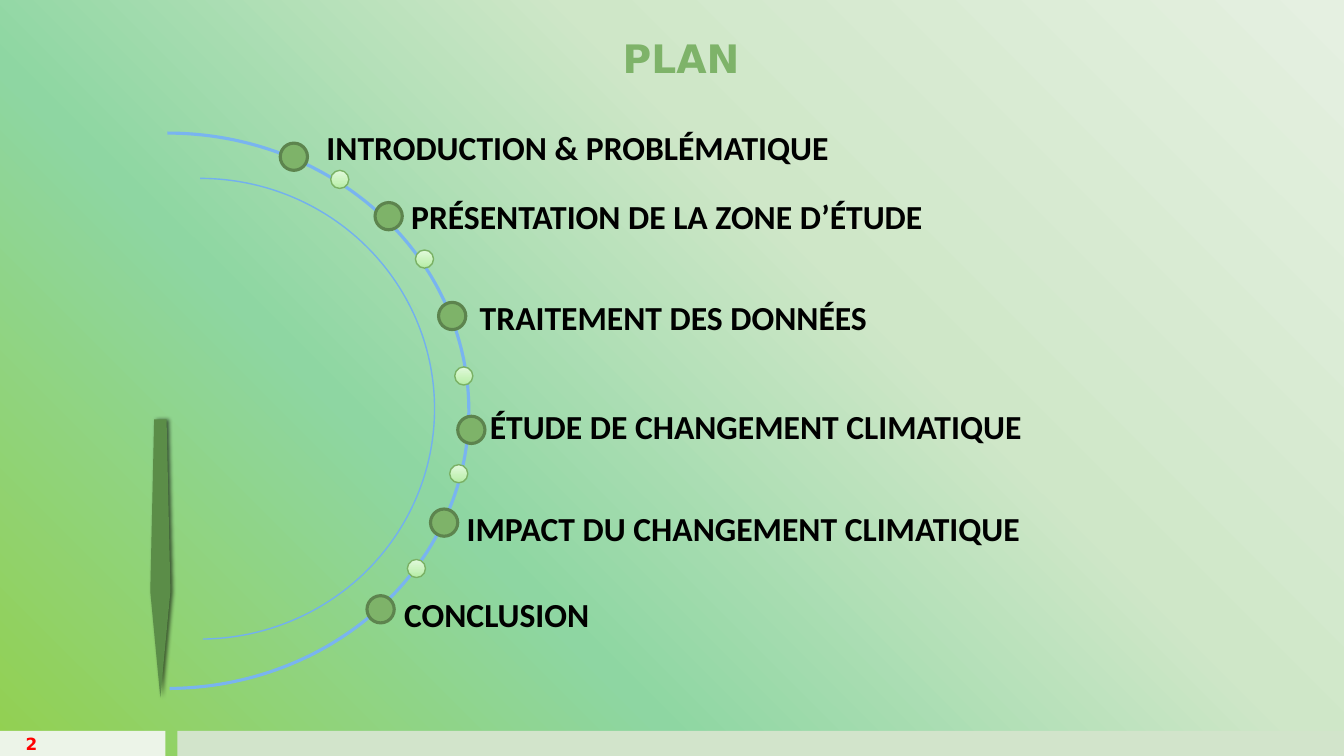
from lxml import etree
from pptx import Presentation
from pptx.dml.color import RGBColor
from pptx.enum.shapes import MSO_SHAPE
from pptx.enum.text import MSO_ANCHOR, PP_ALIGN
from pptx.oxml.ns import qn
from pptx.util import Inches, Pt

RECT, OVAL, ARC = MSO_SHAPE.RECTANGLE, MSO_SHAPE.OVAL, MSO_SHAPE.ARC
PENTAGON = MSO_SHAPE.REGULAR_PENTAGON
LEFT, CENTER, RIGHT = PP_ALIGN.LEFT, PP_ALIGN.CENTER, PP_ALIGN.RIGHT
TOP, MIDDLE, BOTTOM = MSO_ANCHOR.TOP, MSO_ANCHOR.MIDDLE, MSO_ANCHOR.BOTTOM

GREEN = RGBColor(0x7E, 0xB3, 0x69)
DARK_GREEN = RGBColor(0x5D, 0x84, 0x4E)
NEEDLE_GREEN = RGBColor(0x5B, 0x8D, 0x48)
SMALL_DOT_LINE = RGBColor(0x7A, 0xB1, 0x65)
INNER_BLUE = RGBColor(0x73, 0xB0, 0xEE)
OUTER_BLUE = RGBColor(0x79, 0xB4, 0xF0)
FOOTER_LEFT = RGBColor(0xEC, 0xF4, 0xE8)
FOOTER_RIGHT = RGBColor(0xD2, 0xE4, 0xCB)
BLACK = RGBColor(0, 0, 0)
RED = RGBColor(0xFF, 0, 0)
BACKGROUND = [(0, RGBColor(0xE5, 0xF0, 0xE1)), (37, RGBColor(0xCF, 0xE7, 0xC8)),
              (67, RGBColor(0x8E, 0xD6, 0xA2)), (100, RGBColor(0x92, 0xD0, 0x50))]
SMALL_DOT_FILL = [(0, RGBColor(0xB4, 0xEB, 0xA3)), (35, RGBColor(0xC6, 0xF2, 0xB9)),
                  (100, RGBColor(0xE2, 0xF9, 0xDC))]

# Content: text, its left and top, then left and top of its dot
TITLE = "PLAN"
PAGE = "2"
TOPICS = [
    ("INTRODUCTION & PROBLÉMATIQUE", 3.14, 1.21, 2.78, 1.42),
    ("PRÉSENTATION DE LA ZONE D’ÉTUDE", 3.98, 1.89, 3.72, 2.01),
    ("TRAITEMENT DES DONNÉES", 4.66, 2.9, 4.35, 3.0),
    ("ÉTUDE DE CHANGEMENT CLIMATIQUE", 4.76, 3.98, 4.54, 4.13),
    ("IMPACT DU CHANGEMENT CLIMATIQUE", 4.53, 4.99, 4.27, 5.05),
    ("CONCLUSION", 3.91, 5.84, 3.64, 5.91),
]
SMALL_DOTS = [(3.28, 1.69), (4.12, 2.48), (4.51, 3.64), (4.46, 4.61), (4.04, 5.55)]
# Box, end angle (in 1/100 of the 60000ths), colour, line width
ARCS = [((-0.34, 1.77, 4.65, 4.57), 53.6, INNER_BLUE, 1),
        ((-1.33, 1.32, 5.98, 5.51), 53.71, OUTER_BLUE, 2.25)]
FOOTER = [((0, 7.25, 1.64, 0.25), FOOTER_LEFT), ((1.76, 7.25, 11.57, 0.25), FOOTER_RIGHT)]
DOT, SMALL_DOT = 0.27, 0.18
LABEL_W, LABEL_H = 6.5, 0.5

prs = Presentation()
prs.slide_width, prs.slide_height = Inches(13.33), Inches(7.5)
s = prs.slides.add_slide(prs.slide_layouts[5])


def set_gradient(fill, element, stops, angle):
    """Angle is counter-clockwise, in degrees."""
    fill.gradient()
    fill.gradient_angle = angle
    gs_list = element.find(".//" + qn("a:gsLst"))
    for gs in list(gs_list):
        gs_list.remove(gs)
    for pos, color in stops:
        gs = etree.SubElement(gs_list, qn("a:gs"), pos=str(pos * 1000))
        etree.SubElement(gs, qn("a:srgbClr"), val=str(color))


def add_shape(kind, box, fill=None, line=None, width=1):
    sp = s.shapes.add_shape(kind, *map(Inches, box))
    sp.shadow.inherit = False
    if fill is None:
        sp.fill.background()
    else:
        sp.fill.solid()
        sp.fill.fore_color.rgb = fill
    if line is None:
        sp.line.fill.background()
    else:
        sp.line.color.rgb = line
        sp.line.width = Pt(width)
    return sp


def set_text(sp, text, size, font, color, align=LEFT, anchor=TOP):
    tf = sp.text_frame
    tf.word_wrap = True
    tf.vertical_anchor = anchor
    tf.text = text
    p = tf.paragraphs[0]
    p.alignment = align
    p.font.size, p.font.name, p.font.bold = Pt(size), font, True
    p.font.color.rgb = color


def add_text(box, *args):
    sp = s.shapes.add_textbox(*map(Inches, box))
    set_text(sp, *args)
    return sp


# Background and footer band
set_gradient(s.background.fill, s.element, BACKGROUND, 225)
for box, color in FOOTER:
    add_shape(RECT, box, color)

# Title
title = s.shapes.title
title.left, title.top, title.width, title.height = map(Inches, (2.35, 0.4, 8.81, 0.46))
set_text(title, TITLE, 28, "DejaVu Sans", GREEN, CENTER, BOTTOM)

# Arcs
for box, end, color, width in ARCS:
    arc = add_shape(ARC, box, None, color, width)
    arc.adjustments[0] = 162
    arc.adjustments[1] = end

# Needle with a soft shadow
needle = add_shape(PENTAGON, (1.49, 4.16, 0.2, 2.76), NEEDLE_GREEN)
needle.rotation = 180
effects = needle.element.spPr.find(qn("a:effectLst"))
shadow = etree.SubElement(effects, qn("a:outerShdw"), blurRad=str(Pt(3)),
                          dist=str(Pt(1.5)), dir="0", rotWithShape="0")
shade = etree.SubElement(shadow, qn("a:srgbClr"), val=str(BLACK))
etree.SubElement(shade, qn("a:alpha"), val="60000")

# Dots along the outer arc
for *_, x, y in TOPICS:
    add_shape(OVAL, (x, y, DOT, DOT), GREEN, DARK_GREEN, 2.25)
for x, y in SMALL_DOTS:
    dot = add_shape(OVAL, (x, y, SMALL_DOT, SMALL_DOT), None, SMALL_DOT_LINE)
    set_gradient(dot.fill, dot.element, SMALL_DOT_FILL, 90)

# Topic labels and page number
for text, x, y, *_ in TOPICS:
    add_text((x, y, LABEL_W, LABEL_H), text, 24, "Calibri", BLACK)
page = add_text((0, 7.25, 0.45, 0.25), PAGE, 12, "DejaVu Sans", RED, RIGHT, MIDDLE)
page.text_frame.margin_left = page.text_frame.margin_right = Inches(0.08)

prs.save("out.pptx")
